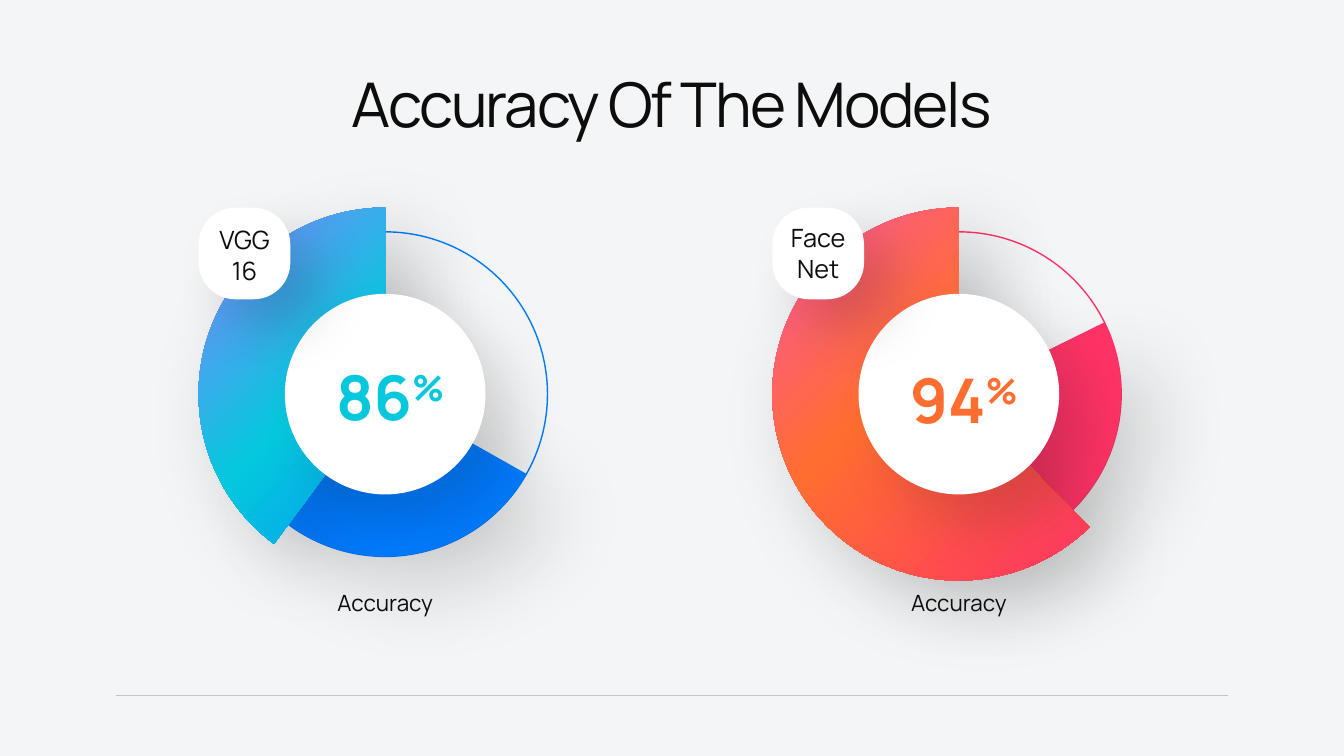
from dataclasses import dataclass

from lxml import etree
from pptx import Presentation
from pptx.dml.color import RGBColor
from pptx.enum.shapes import MSO_CONNECTOR, MSO_SHAPE
from pptx.enum.text import MSO_ANCHOR, MSO_AUTO_SIZE, PP_ALIGN
from pptx.oxml.ns import qn
from pptx.util import Inches, Pt

ELLIPSE, PIE, BADGE = MSO_SHAPE.OVAL, MSO_SHAPE.PIE, MSO_SHAPE.ROUNDED_RECTANGLE
STRAIGHT = MSO_CONNECTOR.STRAIGHT
CENTER, TOP, NO_FIT = PP_ALIGN.CENTER, MSO_ANCHOR.TOP, MSO_AUTO_SIZE.NONE
PIE_END = 162
DONUT_SIZE = 3.7


@dataclass(frozen=True)
class Theme:
    font: str = "Manrope"
    paper: str = "F4F5F6"
    ink: str = "0D0D0D"
    white: str = "FFFFFF"
    black: str = "000000"
    rule: str = "404040"
    title_size: int = 44
    number_size: int = 44
    badge_size: int = 18
    caption_size: int = 16


@dataclass(frozen=True)
class Model:
    badge: tuple
    number: str
    gradient: tuple
    small_start: float
    large_start: float
    badge_top: float
    number_top: float


THEME = Theme()
MODELS = (
    Model(("VGG 16",), "86", ((5, "017BFF"), (60, "05C8DD"), (100, "8B81FF")),
          17.664, 75.937, 0.12, 1.45),
    Model(("Face", "Net"), "94", ((5, "FF3366"), (60, "FF6E30"), (100, "FB55A5")),
          200.25, 27.31, 0.1, 1.48),
)


def color(value):
    return RGBColor.from_string(value)


def apply_format(target, values):
    for name, value in values.items():
        setattr(target, name, value)


def add_child(parent, tag, **attributes):
    child = etree.SubElement(parent, qn(tag))
    for name, value in attributes.items():
        child.set(name, str(value))
    return child


def paint_gradient(fill, owner, stops, focus):
    fill.gradient()
    gradient = owner.find(qn("a:gradFill"))
    for child in list(gradient):
        gradient.remove(child)
    stop_list = add_child(gradient, "a:gsLst")
    for position, value in stops:
        stop = add_child(stop_list, "a:gs", pos=position * 1000)
        add_child(stop, "a:srgbClr", val=value)
    circle = add_child(gradient, "a:path", path="circle")
    add_child(circle, "a:fillToRect", **{side: 100000 for side in focus})


def add_shadow(shape, value, blur, distance):
    effects = shape._element.spPr.find(qn("a:effectLst"))
    shadow = add_child(effects, "a:outerShdw", blurRad=Pt(blur), dist=Pt(distance),
                       dir=45 * 60000, algn="tl", rotWithShape=0)
    add_child(add_child(shadow, "a:srgbClr", val=value), "a:alpha", val=15000)


def add_plain_shape(page, kind, left, top, size, fill=None, line=None, adjustments=()):
    shape = page.shapes.add_shape(kind, *map(Inches, (left, top, size, size)))
    shape.shadow.inherit = False
    for index, value in enumerate(adjustments):
        shape.adjustments[index] = value
    if fill:
        shape.fill.solid()
        shape.fill.fore_color.rgb = color(fill)
    else:
        shape.fill.background()
    if line:
        shape.line.color.rgb = color(line)
        shape.line.width = Pt(1)
    else:
        shape.line.fill.background()
    return shape


def write_lines(box, lines, size, bold=False):
    frame = box.text_frame
    apply_format(frame, {"word_wrap": True, "auto_size": NO_FIT, "vertical_anchor": TOP})
    spans = []
    for index, line in enumerate(lines):
        para = frame.add_paragraph() if index else frame.paragraphs[0]
        para.alignment = CENTER
        for text in line:
            span = para.add_run()
            span.text = text
            apply_format(span.font, {"name": THEME.font, "size": Pt(size), "bold": bold})
            span.font.color.rgb = color(THEME.ink)
            spans.append(span)
    return spans


def add_text(page, left, top, width, height, lines, size, bold=False):
    box = page.shapes.add_textbox(*map(Inches, (left, top, width, height)))
    return write_lines(box, lines, size, bold)


def add_title(page, left, top, width, height):
    title = page.shapes.title
    apply_format(title, {"left": Inches(left), "top": Inches(top),
                         "width": Inches(width), "height": Inches(height)})
    for span in write_lines(title, [["Accuracy Of The Models"]], THEME.title_size):
        span._r.get_or_add_rPr().set("spc", "-150")


def add_footer_rule(page, left, top, width):
    rule = page.shapes.add_connector(
        STRAIGHT, *map(Inches, (left, top, left + width, top)))
    rule.line.color.rgb = color(THEME.rule)
    rule.line.width = Pt(0.5)
    properties = rule._element.spPr
    add_child(properties.find(".//" + qn("a:srgbClr")), "a:alpha", val=25000)
    add_child(properties, "a:effectLst")


def add_donut(page, left, top, size, model):
    accent = model.gradient[0][1]
    ring_size, hub_size = size - 0.48, 1.99
    ring = (left + 0.24, top + 0.24, ring_size)
    add_plain_shape(page, ELLIPSE, *ring, line=accent)
    small = add_plain_shape(page, PIE, *ring, fill=accent,
                            adjustments=(model.small_start, PIE_END))
    add_shadow(small, THEME.ink, 58, 34)

    large = add_plain_shape(page, PIE, left, top, size,
                            adjustments=(model.large_start, PIE_END))
    paint_gradient(large.fill, large._element.spPr, model.gradient, "lt")
    add_shadow(large, THEME.ink, 58, 24)

    inset = (size - hub_size) / 2
    hub = add_plain_shape(page, ELLIPSE, left + inset, top + inset, hub_size,
                          fill=THEME.white)
    add_shadow(hub, THEME.ink, 41, 30)

    spans = add_text(page, left + 1.02, top + model.number_top, 1.76, 0.84,
                     [[model.number, "%"]], THEME.number_size, bold=True)
    for span in spans:
        paint_gradient(span.font.fill, span._r.rPr, model.gradient, "rb")
    spans[1]._r.rPr.set("baseline", "30000")

    caption_width = 2.48
    add_text(page, left + (size - caption_width) / 2, top + 3.74, caption_width, 0.37,
             [["Accuracy"]], THEME.caption_size)


def add_badge(page, left, top, size, model):
    badge = add_plain_shape(page, BADGE, left, top, size, fill=THEME.white,
                            adjustments=(0.403,))
    add_shadow(badge, THEME.black, 39, 29)
    add_text(page, left, top + model.badge_top, size, 0.71,
             [[line] for line in model.badge], THEME.badge_size)


def main():
    deck = Presentation()
    deck.slide_width, deck.slide_height = Inches(13.33), Inches(7.5)
    page = deck.slides.add_slide(deck.slide_layouts[5])
    page.background.fill.solid()
    page.background.fill.fore_color.rgb = color(THEME.paper)
    add_footer_rule(page, 1.15, 6.9, 11.03)
    add_title(page, 1.15, 0.6, 11.02, 0.84)
    for index, model in enumerate(MODELS):
        left, top = 1.97 + 5.69 * index, 2.06
        add_donut(page, left, top, DONUT_SIZE, model)
        add_badge(page, left, top, 0.91, model)
    deck.save("out.pptx")


if __name__ == "__main__":
    main()
